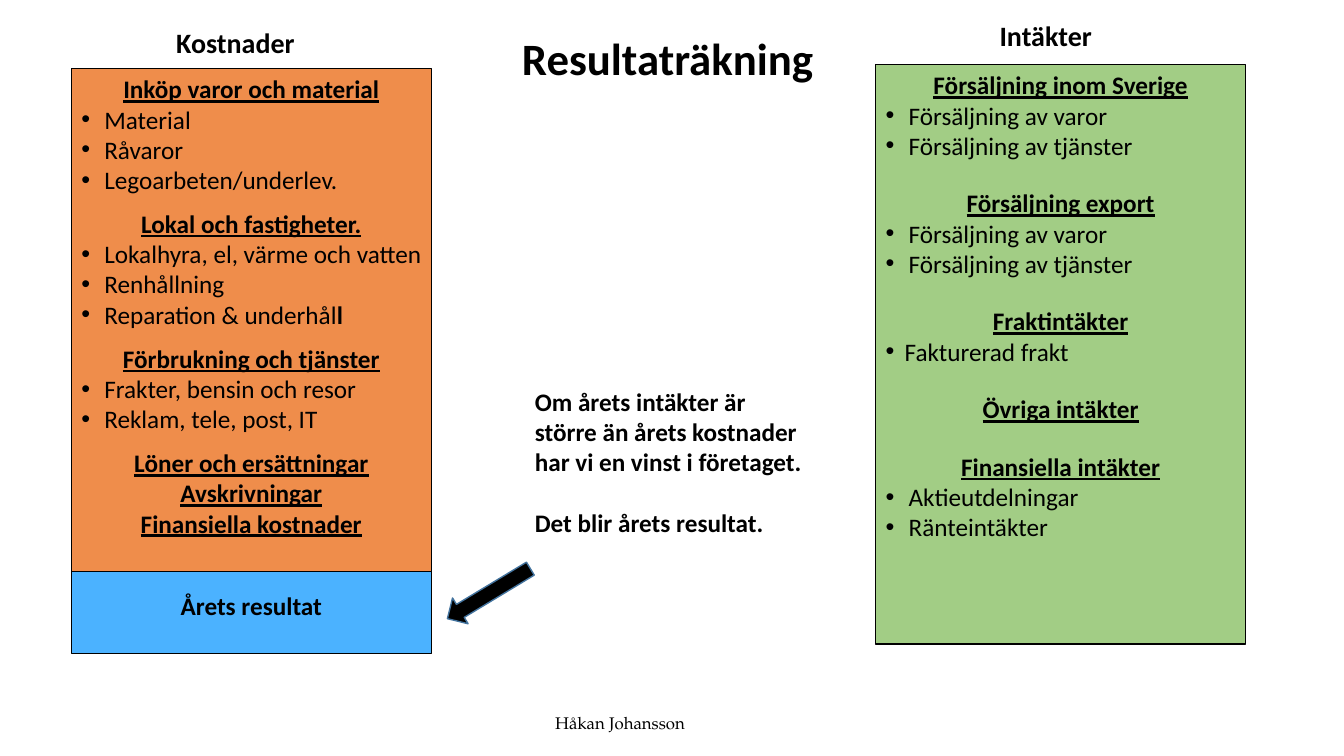
from typing import NamedTuple

from lxml import etree
from pptx import Presentation
from pptx.dml.color import RGBColor
from pptx.enum.shapes import MSO_SHAPE
from pptx.enum.text import MSO_ANCHOR, PP_ALIGN
from pptx.oxml.ns import qn
from pptx.util import Cm, Pt

RECTANGLE = MSO_SHAPE.RECTANGLE
DOWN_ARROW = MSO_SHAPE.DOWN_ARROW
TOP, MIDDLE = MSO_ANCHOR.TOP, MSO_ANCHOR.MIDDLE
LEFT, CENTER = PP_ALIGN.LEFT, PP_ALIGN.CENTER

COLORS = {
    "text": "000000",
    "border": "000000",
    "costs": "EF8D4B",
    "income": "A2CD85",
    "result": "4BB2FF",
    "arrow": "000000",
    "arrow_border": "43739E",
}
BODY_FONT = "Calibri"
AUTHOR_FONT = "TeX Gyre Pagella"
BODY_SIZE = 18


class Group(NamedTuple):
    """Headings with their bullet items; text after * in an item is bold."""
    headings: list
    items: list = []
    indent: float = 0.58


COSTS = [
    Group(["Inköp varor och material"],
          ["Material", "Råvaror", "Legoarbeten/underlev."]),
    Group(["Lokal och fastigheter."],
          ["Lokalhyra, el, värme och vatten", "Renhållning",
           "Reparation & underhål*l"]),
    Group(["Förbrukning och tjänster"],
          ["Frakter, bensin och resor", "Reklam, tele, post, IT"]),
    Group(["Löner och ersättningar", "Avskrivningar",
           "Finansiella kostnader"]),
]
SALES = ["Försäljning av varor", "Försäljning av tjänster"]
INCOME = [
    Group(["Försäljning inom Sverige"], SALES),
    Group(["Försäljning export"], SALES),
    Group(["Fraktintäkter"], ["Fakturerad frakt"], 0.48),
    Group(["Övriga intäkter"]),
    Group(["Finansiella intäkter"], ["Aktieutdelningar", "Ränteintäkter"]),
]


def rgb(name):
    return RGBColor.from_string(COLORS[name])


def style(paragraph, size=BODY_SIZE, bold=True, underline=False,
          align=LEFT, font_name=BODY_FONT):
    paragraph.alignment = align
    font = paragraph.font
    font.name = font_name
    font.size = Pt(size)
    font.bold = bold
    font.underline = underline
    font.color.rgb = rgb("text")


def add_bullet(paragraph, indent):
    properties = paragraph._p.get_or_add_pPr()
    properties.set("marL", str(Cm(indent)))
    properties.set("indent", str(-Cm(indent)))
    etree.SubElement(properties, qn("a:buFont")).set("typeface", "Arial")
    etree.SubElement(properties, qn("a:buChar")).set("char", "•")


def next_paragraph(frame):
    """Give the empty first paragraph, or a new one after the text."""
    first = frame.paragraphs[0]
    return frame.add_paragraph() if first.runs else first


def add_title(slide, text, left, top, width, height):
    title = slide.shapes.title
    title.left, title.top = Cm(left), Cm(top)
    title.width, title.height = Cm(width), Cm(height)
    title.text_frame.text = text
    title.text_frame.vertical_anchor = MIDDLE
    style(title.text_frame.paragraphs[0], size=32)


def add_label(slide, lines, left, top, width, height, gap=0, **font):
    box = slide.shapes.add_textbox(Cm(left), Cm(top), Cm(width), Cm(height))
    frame = box.text_frame
    frame.word_wrap = True
    for number, line in enumerate(lines):
        paragraph = next_paragraph(frame)
        paragraph.add_run().text = line
        if number:
            paragraph.space_before = Pt(gap)
        style(paragraph, **font)


def add_block(slide, kind, fill, left, top, width, height,
              border="border", border_width=0.75):
    block = slide.shapes.add_shape(kind, Cm(left), Cm(top),
                                   Cm(width), Cm(height))
    block.shadow.inherit = False
    block.fill.solid()
    block.fill.fore_color.rgb = rgb(fill)
    block.line.color.rgb = rgb(border)
    block.line.width = Pt(border_width)
    block.text_frame.vertical_anchor = TOP
    return block


def fill_account(block, groups, gap):
    frame = block.text_frame
    for group_number, group in enumerate(groups):
        for heading_number, heading in enumerate(group.headings):
            paragraph = next_paragraph(frame)
            paragraph.add_run().text = heading
            if group_number and not heading_number:
                paragraph.space_before = Pt(gap)
            style(paragraph, underline=True, align=CENTER)
        for item in group.items:
            plain, _, strong = item.partition("*")
            paragraph = next_paragraph(frame)
            paragraph.add_run().text = plain
            if strong:
                ending = paragraph.add_run()
                ending.text = strong
                ending.font.bold = True
            add_bullet(paragraph, group.indent)
            style(paragraph, bold=False)


def main():
    presentation = Presentation()
    presentation.slide_width, presentation.slide_height = Cm(33.87), Cm(19.05)
    slide = presentation.slides.add_slide(presentation.slide_layouts[5])

    add_title(slide, "Resultaträkning", 12.9, 0.64, 9.2, 1.63)

    costs = add_block(slide, RECTANGLE, "costs", 1.8, 1.73, 9.07, 12.7)
    fill_account(costs, COSTS, gap=9.8)
    income = add_block(slide, RECTANGLE, "income", 22.07, 1.63, 9.32, 14.6)
    fill_account(income, INCOME, gap=19.5)

    add_label(slide, ["Kostnader"], 4.19, 0.53, 4.27, 1.12, size=20)
    add_label(slide, ["Intäkter"], 24.94, 0.33, 3.28, 1.12, size=20)
    add_label(slide, ["Om årets intäkter är större än årets kostnader "
                      "har vi en vinst i företaget.",
                      "Det blir årets resultat."],
              13.23, 9.6, 7.39, 4.11, gap=22)

    result = add_block(slide, RECTANGLE, "result", 1.8, 14.4, 9.07, 2.06)
    result.text_frame.margin_top = Cm(0.47)
    result_line = result.text_frame.paragraphs[0]
    result_line.add_run().text = "Årets resultat"
    style(result_line, align=CENTER)

    arrow = add_block(slide, DOWN_ARROW, "arrow", 11.94, 13.74, 0.76, 2.44,
                      border="arrow_border", border_width=1)
    arrow.rotation = 58.9

    add_label(slide, ["Håkan Johansson"], 13.74, 17.83, 3.81, 0.79,
              size=12, bold=False, font_name=AUTHOR_FONT)

    presentation.save("out.pptx")


if __name__ == "__main__":
    main()
